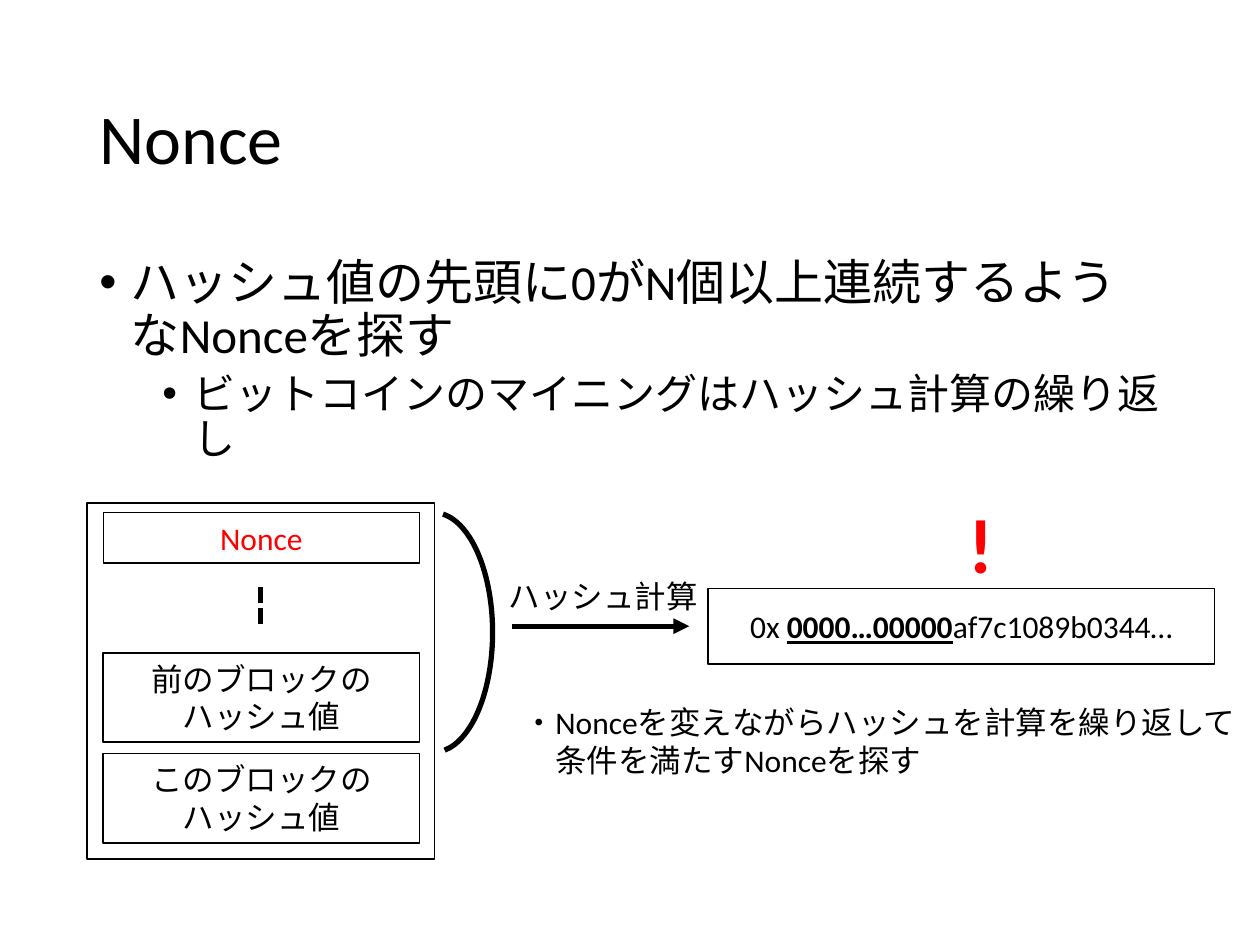
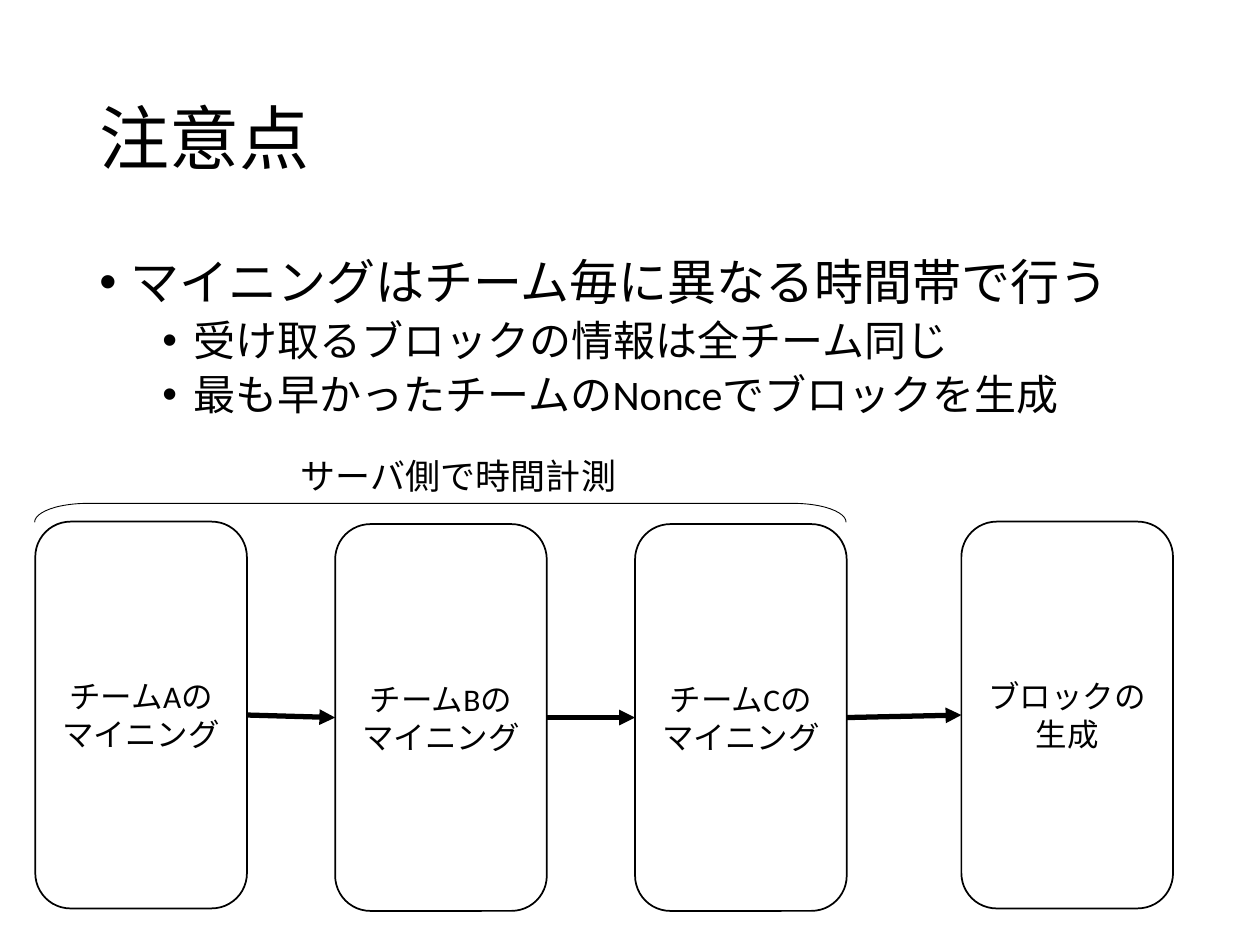
from pptx import Presentation
from pptx.util import Inches, Pt
from pptx.dml.color import RGBColor as Rgb
from pptx.enum.dml import MSO_LINE as Dash
from pptx.enum.shapes import MSO_CONNECTOR as Conn, MSO_SHAPE as Kind
from pptx.enum.text import MSO_ANCHOR as Anchor, PP_ALIGN as Align
from pptx.oxml.ns import qn
from lxml.etree import SubElement as Sub

FONT = "Calibri"
INK = {"text": "000000", "fill": "FFFFFF", "key": "FF0000"}
LEFT, WIDE = 0.69, 8.62


def tint(name):
    """Return a named colour."""
    return Rgb.from_string(INK[name])


def style(para, size, color="text", bold=False):
    """Format every run of a paragraph."""
    for run in para.runs:
        font = run.font
        font.name, font.size, font.bold = FONT, Pt(size), bold
        font.color.rgb = tint(color)


def write(frame, lines, size, color="text", align=Align.LEFT, bold=False):
    """Fill a text frame with one paragraph per line."""
    frame.word_wrap = True
    frame.text = "\n".join(lines)
    for para in frame.paragraphs:
        para.alignment = align
        style(para, size, color, bold)


def label(slide, box, lines, size, **look):
    """Add a text box and return its frame."""
    frame = slide.shapes.add_textbox(*map(Inches, box)).text_frame
    write(frame, lines, size, **look)
    return frame


def bullet(para, level):
    """Give a paragraph its bullet and hanging indent."""
    para.level = level
    props = para._p.get_or_add_pPr()
    props.set("marL", str(Inches(0.25 + 0.5 * level)))
    props.set("indent", str(Inches(-0.25)))
    Sub(props, qn("a:buFont")).set("typeface", "Arial")
    Sub(props, qn("a:buChar")).set("char", "•")


def start(deck, title, high, points):
    """Add a slide with its title and a main point with subpoints."""
    slide = deck.slides.add_slide(deck.slide_layouts[6])
    head = label(slide, (LEFT, 0.4, WIDE, 1.45), [title], 40)
    head.vertical_anchor = Anchor.MIDDLE
    head.paragraphs[0].line_spacing = 0.9
    body = label(slide, (LEFT, 2, WIDE, high), points, 28)
    for i, para in enumerate(body.paragraphs):
        level = min(i, 1)
        para.line_spacing = 0.9
        para.space_before = Pt(5 * level)
        bullet(para, level)
        style(para, 28 - 4 * level)
    return slide


def outline(slide, kind, box, width=1):
    """Add an unfilled shape with a dark line."""
    shape = slide.shapes.add_shape(kind, *map(Inches, box))
    shape.shadow.inherit = False
    shape.fill.background()
    shape.line.color.rgb = tint("text")
    shape.line.width = Pt(width)
    return shape


def panel(slide, box, lines=(), kind=Kind.RECTANGLE, color="text", width=1):
    """Add a filled box with centred text."""
    shape = outline(slide, kind, box, width)
    shape.fill.solid()
    shape.fill.fore_color.rgb = tint("fill")
    if lines:
        write(shape.text_frame, lines, 18, color, Align.CENTER)
    return shape


def link(slide, ends=(0, 0, 0, 0), arrow=True):
    """Add a thick line, an arrow unless told otherwise."""
    line = slide.shapes.add_connector(Conn.STRAIGHT, *map(Inches, ends))
    line.line.color.rgb = tint("text")
    line.line.width = Pt(3)
    if arrow:
        Sub(line.line._get_or_add_ln(), qn("a:tailEnd")).set("type", "triangle")
    Sub(line._element.spPr, qn("a:effectLst"))
    return line


def nonce(deck):
    """Show the search for a nonce."""
    slide = start(deck, "Nonce", 1.85, [
        "ハッシュ値の先頭に0がN個以上連続するようなNonceを探す",
        "ビットコインのマイニングはハッシュ計算の繰り返し"])
    panel(slide, (LEFT, 3.99, 2.76, 2.83))
    panel(slide, (0.82, 4.07, 2.51, 0.4), ["Nonce"], color="key", width=0.75)
    for top, name in ((5.18, "前の"), (5.98, "この")):
        panel(slide, (0.82, top, 2.51, 0.71), [name + "ブロックの", "ハッシュ値"])
    dots = link(slide, (2.07, 4.66, 2.07, 4.97), arrow=False)
    dots.line.dash_style = Dash.SQUARE_DOT
    arc = outline(slide, Kind.ARC, (2.98, 4.07, 0.93, 1.9), 3)
    arc.adjustments[0], arc.adjustments[1] = 164.62, 50.9
    link(slide, (4.06, 4.97, 5.47, 4.97))
    label(slide, (3.94, 4.53, 1.89, 0.4), ["ハッシュ計算"], 18)

    value = panel(slide, (5.62, 4.67, 4.02, 0.6), ["0x "])
    para = value.text_frame.paragraphs[0]
    zeros, rest = para.add_run(), para.add_run()
    zeros.text, rest.text = "0000…00000", "af7c1089b0344…"
    style(para, 18)
    zeros.font.bold = zeros.font.underline = True

    note = label(slide, (4.06, 5.53, 5.89, 0.71), [
        "・Nonceを変えながらハッシュを計算を繰り返して",
        "条件を満たすNonceを探す"], 18)
    note.paragraphs[1]._p.get_or_add_pPr().set("marL", str(Inches(0.25)))
    label(slide, (7.59, 3.89, 0.98, 0.84), ["!"], 44, color="key", bold=True)


def notice(deck):
    """Show the teams mining in turn."""
    slide = start(deck, "注意点", 1.83, [
        "マイニングはチーム毎に異なる時間帯で行う",
        "受け取るブロックの情報は全チーム同じ",
        "最も早かったチームのNonceでブロックを生成"])
    steps = [(0.28 + 2.38 * i, 4.16 if i else 4.14,
              [f"チーム{team}の", "マイニング"]) for i, team in enumerate("ABC")]
    steps.append((7.63, 4.14, ["ブロックの生成"]))
    boxes = [panel(slide, (left, top, 1.68, 3.07), lines, Kind.ROUNDED_RECTANGLE)
             for left, top, lines in steps]
    for prev, after in zip(boxes, boxes[1:]):
        line = link(slide)
        line.begin_connect(prev, 3)
        line.end_connect(after, 1)
    brace = outline(slide, Kind.RIGHT_BRACKET, (3.42, 0.85, 0.15, 6.44), 0.5)
    brace.rotation = 270
    brace.adjustments[0] = 2.8
    label(slide, (2.29, 3.56, 3.27, 0.44), ["サーバ側で時間計測"], 20)


def main():
    """Build and save the deck."""
    deck = Presentation()
    deck.slide_width, deck.slide_height = Inches(10), Inches(7.5)
    nonce(deck)
    notice(deck)
    deck.save("out.pptx")


if __name__ == "__main__":
    main()
